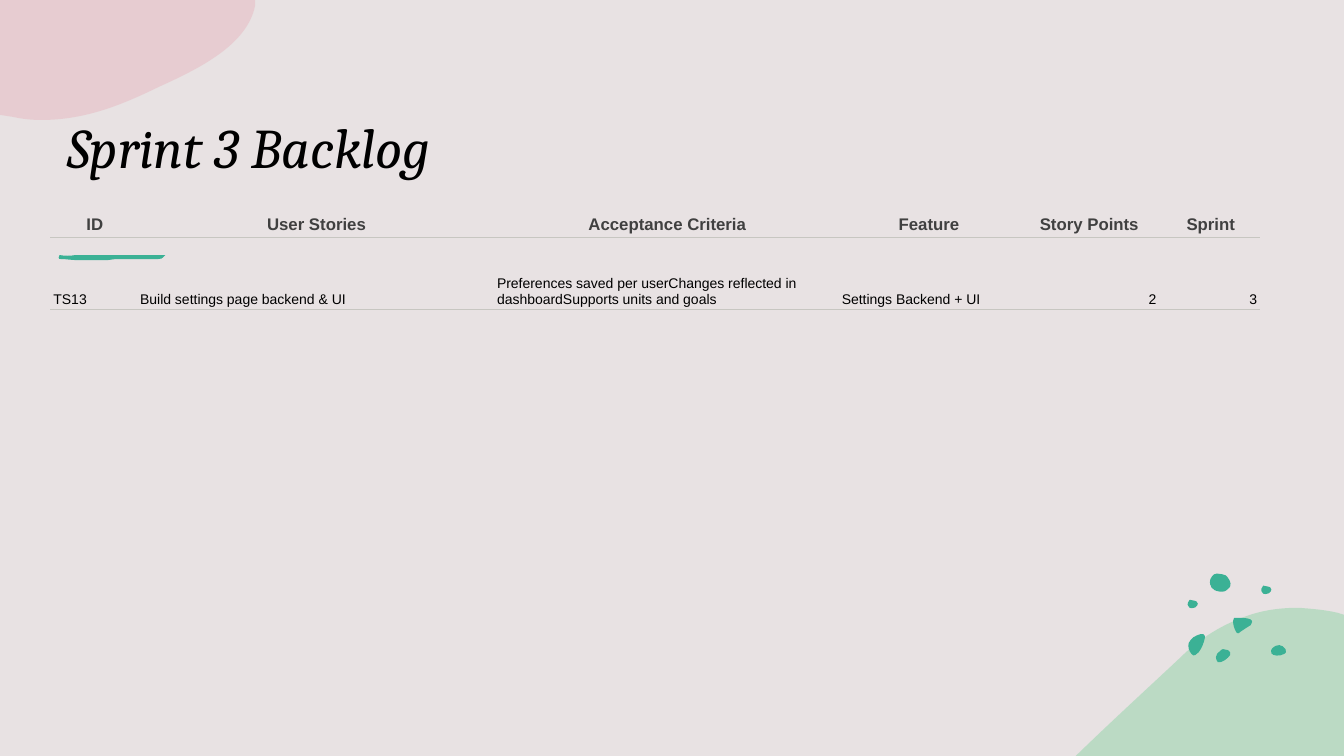
"""Build the Sprint 3 Backlog slide."""
from lxml.etree import SubElement
from pptx import Presentation
from pptx.dml.color import RGBColor
from pptx.enum.text import MSO_ANCHOR, PP_ALIGN
from pptx.oxml.ns import qn
from pptx.util import Pt

TITLE = "Sprint 3 Backlog"
TITLE_BOX = (57, 107, 610, 173)
COLUMNS = [
    ("ID", 86, PP_ALIGN.LEFT),
    ("User Stories", 354, PP_ALIGN.LEFT),
    ("Acceptance Criteria", 342, PP_ALIGN.LEFT),
    ("Feature", 177, PP_ALIGN.LEFT),
    ("Story Points", 141, PP_ALIGN.RIGHT),
    ("Sprint", 100, PP_ALIGN.RIGHT),
]
STORY = ["TS13", "Build settings page backend & UI",
         "Preferences saved per userChanges reflected in dashboardSupports units and goals",
         "Settings Backend + UI", "2", "3"]
TABLE_LEFT, TABLE_TOP = 50, 208
ROW_HEIGHTS = (24, 71)
HEADER_INSETS = (7, 4, 5, 4)
STORY_INSETS = (3, 2, 3, 2)

THEME = {
    "background": "E8E2E3", "green": "90D3A7", "pink": "E7B8C0", "teal": "3BB195",
    "rule": "C7C6C1", "header": "404040", "text": "000000",
    "title_font": "Cambria", "table_font": "Arial",
    "title_size": 40, "header_size": 12, "story_size": 10, "rule_width": 0.75,
    "table_style": "{2D5ABB26-0587-4C30-8999-92F81FD0307C}",
}

GREEN_HILL = [(1288, 603), (1301, 604, 1314, 605, 1327, 608), (1333, 610), (1333, 750),
              (1067, 750), (1068, 749), (1102, 716, 1137, 684, 1169, 654),
              (1191, 632, 1214, 619, 1237, 611), (1254, 605, 1271, 603, 1288, 603)]
PINK_CLOUD = [(0, 0), (253, 0), (253, 6), (245, 44, 200, 67, 158, 86),
              (123, 103, 86, 119, 41, 119), (31, 119, 22, 118, 13, 116), (0, 114)]
BRUSH_STROKE = [(86, 258), (90, 258), (107, 258), (115, 257), (133, 257), (149, 257),
                (157, 257), (163, 257, 161, 254, 164, 253), (157, 253), (133, 253),
                (111, 253), (88, 253), (75, 253), (70, 254, 64, 254, 59, 253),
                (58, 254, 57, 258, 61, 257), (65, 257, 71, 258, 75, 258)]
PEBBLE = [(0, 5), (0, 5, 0, 1, 2, 0), (4, 0, 5, 0, 7, 1), (8, 1, 10, 2, 10, 4),
          (10, 5, 9, 7, 8, 7), (8, 7, 8, 8, 6, 8), (5, 8, 3, 9, 2, 8), (1, 6, 0, 6, 0, 5)]
PEBBLE_SPOTS = [(1251, 581), (1178, 595)]
STONES = [
    [(1213, 644), (1215, 644, 1216, 644, 1218, 645), (1220, 646, 1221, 648, 1220, 650),
     (1218, 653, 1212, 658, 1208, 657), (1207, 656, 1206, 654, 1206, 652),
     (1206, 650, 1208, 647, 1210, 646), (1211, 645, 1212, 644, 1213, 644)],
    [(1191, 629), (1193, 629, 1195, 629, 1195, 631), (1195, 632, 1195, 632, 1195, 633),
     (1194, 638, 1192, 643, 1189, 647), (1187, 649, 1184, 652, 1182, 649),
     (1179, 646, 1178, 641, 1179, 638), (1180, 635, 1182, 634, 1184, 632),
     (1185, 632, 1188, 629, 1191, 629)],
    [(1269, 640), (1271, 640, 1274, 642, 1275, 644), (1276, 646, 1276, 648, 1273, 649),
     (1270, 651, 1262, 651, 1261, 648), (1260, 646, 1261, 644, 1262, 643),
     (1264, 641, 1266, 640, 1269, 640)],
    [(1201, 581), (1200, 581, 1199, 575, 1202, 572), (1204, 570, 1204, 569, 1207, 569),
     (1210, 569, 1214, 570, 1216, 571), (1218, 573, 1222, 578, 1220, 582),
     (1217, 585, 1216, 587, 1212, 587), (1209, 587, 1204, 586, 1203, 584),
     (1201, 583, 1201, 582, 1201, 581)],
    [(1228, 613), (1234, 613, 1245, 613, 1241, 619), (1241, 620, 1240, 621, 1239, 621),
     (1236, 623, 1233, 625, 1230, 627), (1229, 628, 1228, 629, 1227, 628),
     (1227, 628, 1226, 627, 1226, 627), (1224, 623, 1223, 620, 1223, 616),
     (1223, 615, 1223, 614, 1224, 613), (1228, 613)],
]

SCALE = 9144


def px(length):
    return length * SCALE


def color(name):
    return RGBColor.from_string(THEME[name])


def bend_edges(blob, outline):
    """Turn the edges that have control points into cubic curves."""
    left = min(segment[-2] for segment in outline)
    top = min(segment[-1] for segment in outline)
    edges = list(blob._element.iter(qn("a:lnTo")))
    for edge, segment in zip(edges, outline[1:]):
        if len(segment) == 6:
            edge.clear()
            edge.tag = qn("a:cubicBezTo")
            for x, y in zip(segment[::2], segment[1::2]):
                SubElement(edge, qn("a:pt"), x=str(x - left), y=str(y - top))


def draw_outline(slide, outline, fill, opacity=100):
    """Draw one filled outline."""
    start, *ends = [segment[-2:] for segment in outline]
    builder = slide.shapes.build_freeform(*start, scale=SCALE)
    builder.add_line_segments(ends, close=True)
    blob = builder.convert_to_shape()
    bend_edges(blob, outline)
    blob.shadow.inherit = False
    blob.fill.solid()
    blob.fill.fore_color.rgb = color(fill)
    blob.line.fill.background()
    if opacity < 100:
        tint = blob.fill._xPr.find(qn("a:solidFill"))[0]
        SubElement(tint, qn("a:alpha"), val=str(opacity * 1000))


def style_font(font, face, size, ink, bold=False, italic=False):
    font.name = THEME[face]
    font.size = Pt(THEME[size])
    font.color.rgb = color(ink)
    font.bold = bold
    font.italic = italic


def rule_cell(cell, edges):
    """Add thin rules on the given edges of a cell."""
    properties = cell._tc.get_or_add_tcPr()
    for edge in edges:
        rule = SubElement(properties, qn(f"a:{edge}"), w=str(Pt(THEME["rule_width"])))
        paint = SubElement(rule, qn("a:solidFill"))
        SubElement(paint, qn("a:srgbClr"), val=THEME["rule"])


def fill_cell(cell, words, align, insets, size, ink, bold, edges):
    rule_cell(cell, edges)
    cell.fill.background()
    cell.vertical_anchor = MSO_ANCHOR.BOTTOM
    cell.margin_left, cell.margin_top, cell.margin_right, cell.margin_bottom = map(px, insets)
    cell.text = words
    paragraph = cell.text_frame.paragraphs[0]
    paragraph.alignment = align
    style_font(paragraph.font, "table_font", size, ink, bold)


def draw_backlog(slide):
    """Draw the backlog table."""
    width = sum(column[1] for column in COLUMNS)
    frame = slide.shapes.add_table(len(ROW_HEIGHTS), len(COLUMNS), px(TABLE_LEFT), px(TABLE_TOP),
                                   px(width), px(sum(ROW_HEIGHTS)))
    backlog = frame.table
    backlog.horz_banding = False
    backlog._tbl.tblPr.find(qn("a:tableStyleId")).text = THEME["table_style"]
    for row, height in zip(backlog.rows, ROW_HEIGHTS):
        row.height = px(height)
    for index, ((heading, column_width, align), detail) in enumerate(zip(COLUMNS, STORY)):
        backlog.columns[index].width = px(column_width)
        fill_cell(backlog.cell(0, index), heading, PP_ALIGN.CENTER, HEADER_INSETS,
                  "header_size", "header", True, ["lnB"])
        fill_cell(backlog.cell(1, index), detail, align, STORY_INSETS,
                  "story_size", "text", False, ["lnT", "lnB"])


def draw_title(slide):
    """Draw the slide title."""
    title = slide.shapes.add_textbox(*map(px, TITLE_BOX)).text_frame
    title.word_wrap = True
    title.text = TITLE
    style_font(title.paragraphs[0].font, "title_font", "title_size", "text", italic=True)


def main():
    deck = Presentation()
    deck.slide_width, deck.slide_height = px(1333), px(750)
    slide = deck.slides.add_slide(deck.slide_layouts[6])
    slide.background.fill.solid()
    slide.background.fill.fore_color.rgb = color("background")
    draw_outline(slide, GREEN_HILL, "green", 50)
    pebbles = [[tuple(value + spot[i % 2] for i, value in enumerate(segment))
                for segment in PEBBLE] for spot in PEBBLE_SPOTS]
    for stone in STONES + pebbles:
        draw_outline(slide, stone, "teal")
    draw_outline(slide, PINK_CLOUD, "pink", 50)
    draw_outline(slide, BRUSH_STROKE, "teal")
    draw_title(slide)
    draw_backlog(slide)
    deck.save("out.pptx")


if __name__ == "__main__":
    main()
